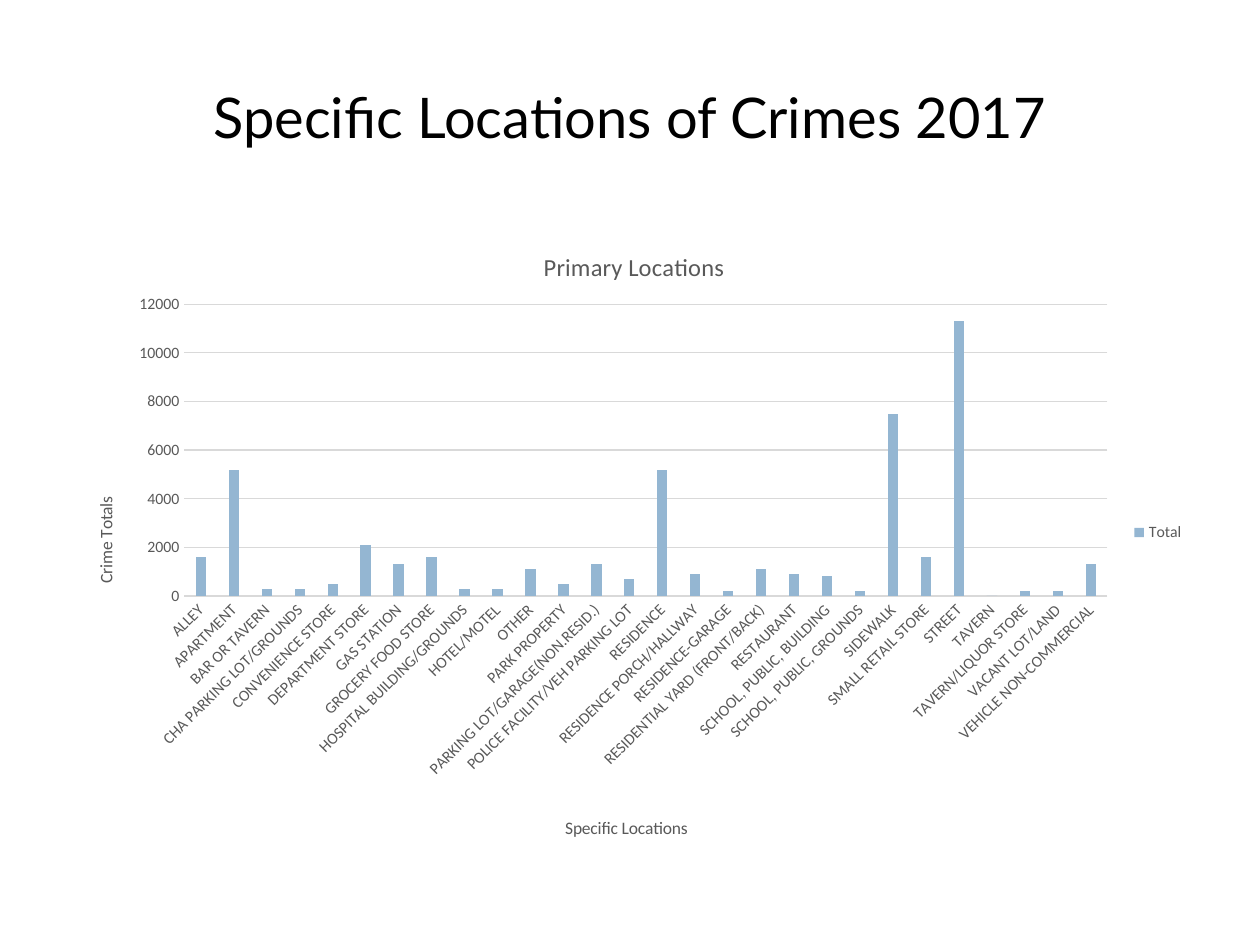
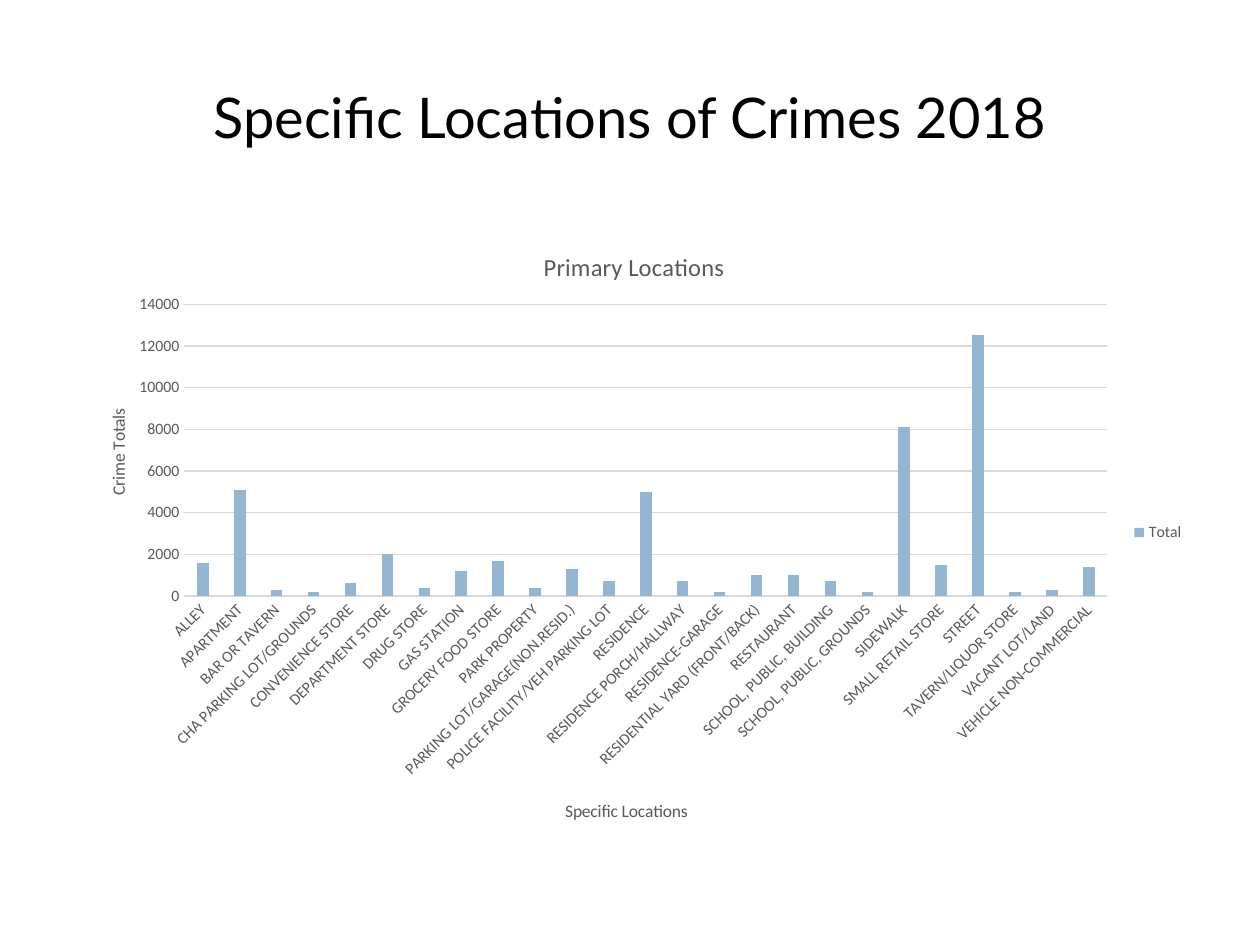
"""Build two slides that chart crime totals by specific location, for 2017 and 2018."""
from lxml import etree
from pptx import Presentation
from pptx import util as u
from pptx.chart import data as chart_data
from pptx.dml.color import RGBColor
from pptx.enum import chart as ch
from pptx.enum import text
from pptx.oxml.ns import qn

COLORS = {"title": "000000", "label": "595959", "line": "D9D9D9", "bar": "94B6D2"}
LOCATIONS = [
    ("ALLEY", 1600, 1600),
    ("APARTMENT", 5200, 5100),
    ("BAR OR TAVERN", 300, 300),
    ("CHA PARKING LOT/GROUNDS", 300, 200),
    ("CONVENIENCE STORE", 500, 600),
    ("DEPARTMENT STORE", 2100, 2000),
    ("DRUG STORE", None, 400),
    ("GAS STATION", 1300, 1200),
    ("GROCERY FOOD STORE", 1600, 1700),
    ("HOSPITAL BUILDING/GROUNDS", 300, None),
    ("HOTEL/MOTEL", 300, None),
    ("OTHER", 1100, None),
    ("PARK PROPERTY", 500, 400),
    ("PARKING LOT/GARAGE(NON.RESID.)", 1300, 1300),
    ("POLICE FACILITY/VEH PARKING LOT", 700, 700),
    ("RESIDENCE", 5200, 5000),
    ("RESIDENCE PORCH/HALLWAY", 900, 700),
    ("RESIDENCE-GARAGE", 200, 200),
    ("RESIDENTIAL YARD (FRONT/BACK)", 1100, 1000),
    ("RESTAURANT", 900, 1000),
    ("SCHOOL, PUBLIC, BUILDING", 800, 700),
    ("SCHOOL, PUBLIC, GROUNDS", 200, 200),
    ("SIDEWALK", 7500, 8100),
    ("SMALL RETAIL STORE", 1600, 1500),
    ("STREET", 11300, 12500),
    ("TAVERN", 0, None),
    ("TAVERN/LIQUOR STORE", 200, 200),
    ("VACANT LOT/LAND", 200, 300),
    ("VEHICLE NON-COMMERCIAL", 1300, 1400),
]
YEARS = [
    {"year": 2017, "top": 12000, "category_title": (0.44, 0.95), "value_title": (0.025, 0.437)},
    {"year": 2018, "top": 14000, "category_title": (0.44, 0.923), "value_title": (0.036, 0.296)},
]


def style_font(font, name, size, color):
    font.name = name
    font.size = u.Pt(size)
    font.bold = False
    font.color.rgb = RGBColor.from_string(COLORS[color])


def set_layout(element, index, **settings):
    for old_layout in element.findall(qn("c:layout")):
        element.remove(old_layout)
    layout = etree.Element(qn("c:layout"))
    manual = etree.SubElement(layout, qn("c:manualLayout"))
    for tag, value in settings.items():
        etree.SubElement(manual, qn("c:" + tag)).set("val", str(value))
    element.insert(index, layout)


presentation = Presentation()
presentation.slide_width = u.Cm(25.4)
presentation.slide_height = u.Cm(19.05)

for column, year in enumerate(YEARS, start=1):
    slide = presentation.slides.add_slide(presentation.slide_layouts[6])

    title_box = slide.shapes.add_textbox(u.Cm(1.27), u.Cm(0.76), u.Cm(22.86), u.Cm(3.18))
    title_frame = title_box.text_frame
    title_frame.word_wrap = True
    title_frame.vertical_anchor = text.MSO_ANCHOR.MIDDLE
    title_frame.text = f"Specific Locations of Crimes {year['year']}"
    paragraph = title_frame.paragraphs[0]
    paragraph.alignment = text.PP_ALIGN.CENTER
    style_font(paragraph.runs[0].font, "Lato", 32, "title")

    rows = [row for row in LOCATIONS if row[column] is not None]
    totals = chart_data.CategoryChartData()
    totals.categories = [row[0] for row in rows]
    totals.add_series("Total", [row[column] for row in rows])
    chart = slide.shapes.add_chart(
        ch.XL_CHART_TYPE.COLUMN_CLUSTERED,
        u.Cm(1.27), u.Cm(4.45), u.Cm(22.86), u.Cm(12.57), totals,
    ).chart
    style_font(chart.font, "Calibri", 10, "title")

    plot = chart.plots[0]
    plot.gap_width = 219
    plot.overlap = -27
    plot.vary_by_categories = False
    bars = plot.series[0].format.fill
    bars.solid()
    bars.fore_color.rgb = RGBColor.from_string(COLORS["bar"])

    chart.has_legend = True
    chart.legend.position = ch.XL_LEGEND_POSITION.RIGHT
    chart.legend.include_in_layout = False
    style_font(chart.legend.font, "Calibri", 9, "label")

    category_axis, value_axis = chart.category_axis, chart.value_axis
    for axis in (category_axis, value_axis):
        axis.major_tick_mark = axis.minor_tick_mark = ch.XL_TICK_MARK.NONE
        style_font(axis.tick_labels.font, "Calibri", 9, "label")
    category_axis._element.txPr.bodyPr.set("rot", "-2700000")
    value_axis.minimum_scale, value_axis.maximum_scale = 0, year["top"]
    value_axis.major_unit = 2000
    value_axis.has_major_gridlines = True
    value_axis.format.line.fill.background()
    for line in (category_axis.format.line, value_axis.major_gridlines.format.line):
        line.width = u.Pt(0.75)
        line.color.rgb = RGBColor.from_string(COLORS["line"])

    for heading, words, size, (left, top) in (
        (chart.chart_title, "Primary Locations", 14, (0.42, 0.04)),
        (category_axis.axis_title, "Specific Locations", 10, year["category_title"]),
        (value_axis.axis_title, "Crime Totals", 10, year["value_title"]),
    ):
        heading.text_frame.text = words
        style_font(heading.text_frame.paragraphs[0].runs[0].font, "Calibri", size, "label")
        set_layout(heading.element, 1, xMode="edge", yMode="edge", x=left, y=top)
    value_axis.axis_title.text_frame._txBody.bodyPr.set("rot", "-5400000")

    set_layout(
        chart._chartSpace.chart.plotArea, 0, layoutTarget="inner",
        xMode="edge", yMode="edge", x=0.107, y=0.134, w=0.814, h=0.468,
    )

presentation.save("out.pptx")
